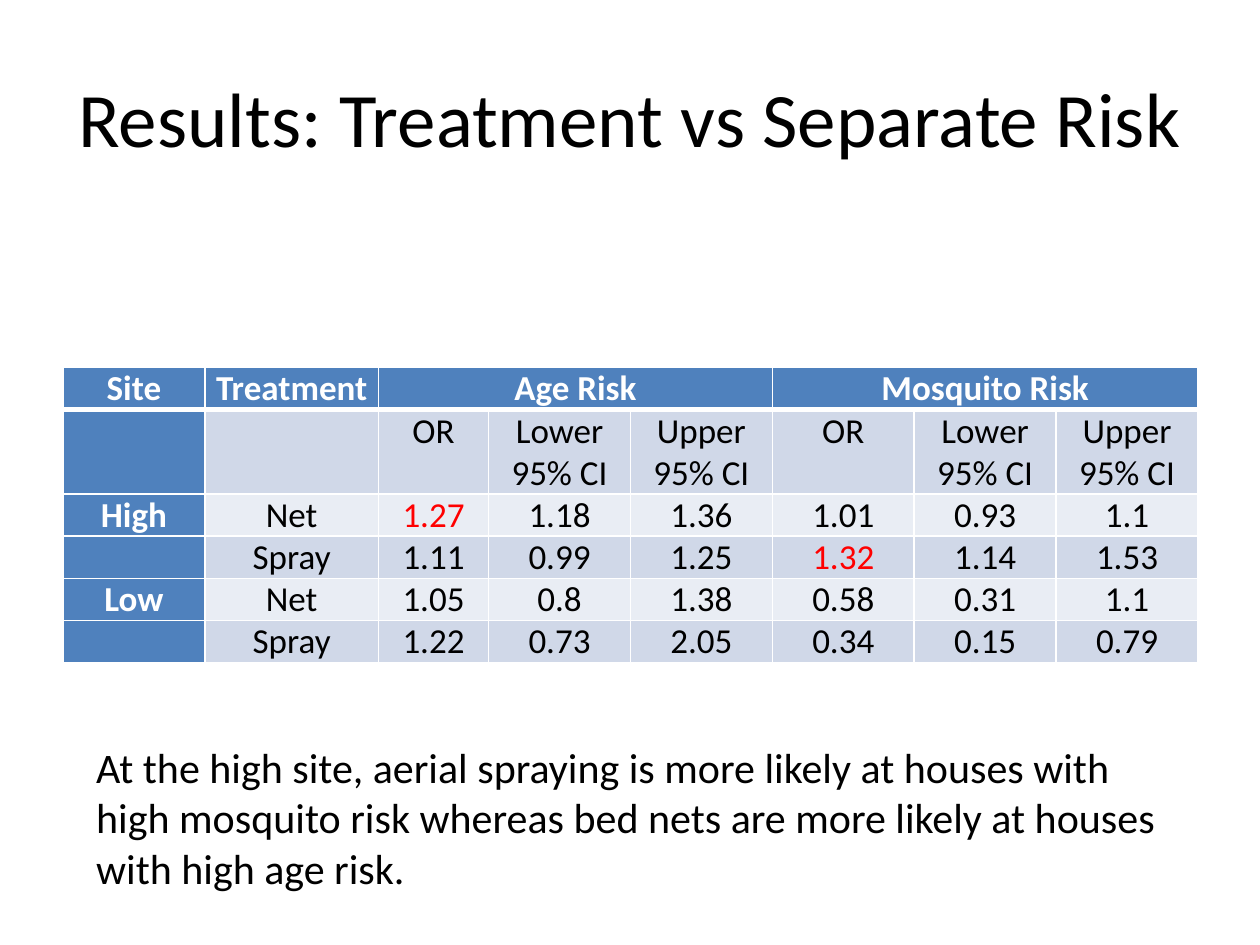
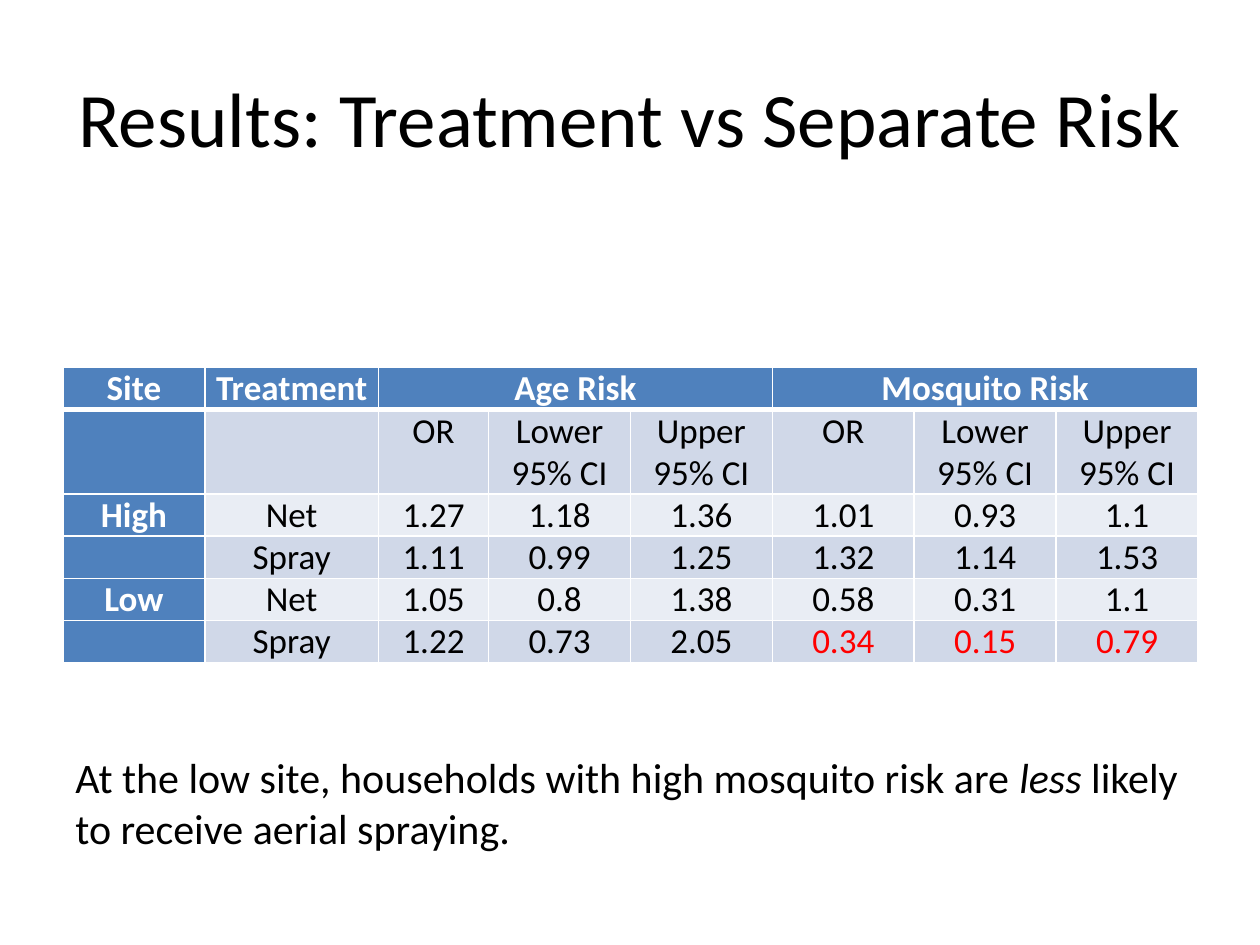
import pptx
import pptx.dml.color
import pptx.enum.text
import pptx.oxml
import pptx.oxml.ns
import pptx.util

Cm = pptx.util.Cm
Pt = pptx.util.Pt
CENTER = pptx.enum.text.PP_ALIGN.CENTER
TOP = pptx.enum.text.MSO_ANCHOR.TOP
MIDDLE = pptx.enum.text.MSO_ANCHOR.MIDDLE
BOTTOM = pptx.enum.text.MSO_ANCHOR.BOTTOM

# Shared style and table content
FONT = "Calibri"
BLACK, WHITE, RED = "000000", "FFFFFF", "FF0000"
HEADER_BLUE, BAND_DARK, BAND_LIGHT = "4F81BD", "D0D8E8", "E9EDF4"
TITLE = "Results: Treatment vs Separate Risk"
MEASURES = ["OR", "Lower 95% CI", "Upper 95% CI"]
ROWS = [
    ["Site", "Treatment", "Age Risk", "", "", "Mosquito Risk", "", ""],
    ["", "", *MEASURES, *MEASURES],
    ["High", "Net", "1.27", "1.18", "1.36", "1.01", "0.93", "1.1"],
    ["", "Spray", "1.11", "0.99", "1.25", "1.32", "1.14", "1.53"],
    ["Low", "Net", "1.05", "0.8", "1.38", "0.58", "0.31", "1.1"],
    ["", "Spray", "1.22", "0.73", "2.05", "0.34", "0.15", "0.79"],
]
COLUMN_WIDTHS = [2.86, 3.5, 2.22] + [2.86] * 5
LINE_HEIGHT = 0.85

# What differs: red cells as (row, column), note place in cm, note spans as (text, italic)
SLIDES = [
    {"red": {(2, 2), (3, 5)},
     "place": (1.69, 14.82, 22.44, 3.33),
     "note": [("At the high site, aerial spraying is more likely at houses with high "
               "mosquito risk whereas bed nets are more likely at houses with high "
               "age risk.", False)]},
    {"red": {(5, 5), (5, 6), (5, 7)},
     "place": (1.27, 15.03, 22.86, 2.31),
     "note": [("At the low site, households with high mosquito risk are ", False),
              ("less", True),
              (" likely to receive aerial spraying.", False)]},
]


def rgb(value):
    return pptx.dml.color.RGBColor.from_string(value)


def add_span(para, text, size, color=BLACK, bold=False, italic=False):
    span = para.add_run()
    span.text = text
    span.font.name = FONT
    span.font.size = Pt(size)
    span.font.bold = bold
    span.font.italic = italic
    span.font.color.rgb = rgb(color)


deck = pptx.Presentation()
deck.slide_width = Cm(25.4)
deck.slide_height = Cm(19.05)

for content in SLIDES:
    page = deck.slides.add_slide(deck.slide_layouts[6])

    # Title
    box = page.shapes.add_textbox(Cm(1.27), Cm(0.76), Cm(22.86), Cm(3.18))
    box.text_frame.word_wrap = True
    box.text_frame.vertical_anchor = MIDDLE
    para = box.text_frame.paragraphs[0]
    para.alignment = CENTER
    add_span(para, TITLE, 44)

    # Odds ratio table
    table = page.shapes.add_table(
        len(ROWS), len(COLUMN_WIDTHS), Cm(1.27), Cm(7.41),
        Cm(sum(COLUMN_WIDTHS)), Cm(LINE_HEIGHT * (len(ROWS) + 1))).table
    table.first_col = True
    for column, width in zip(table.columns, COLUMN_WIDTHS):
        column.width = Cm(width)
    for number, row in enumerate(table.rows):
        row.height = Cm(LINE_HEIGHT * (2 if number == 1 else 1))
    for first in (2, 5):
        table.cell(0, first).merge(table.cell(0, first + 2))

    for row, texts in enumerate(ROWS):
        for column, text in enumerate(texts):
            cell = table.cell(row, column)
            heading = row == 0 or column == 0
            cell.margin_left = cell.margin_right = Cm(0.19)
            cell.margin_top = cell.margin_bottom = 0
            cell.vertical_anchor = BOTTOM if row == 0 else TOP

            # White grid, thicker under the header row
            properties = cell._tc.get_or_add_tcPr()
            for side in "LRTB":
                thick = (row, side) in ((0, "B"), (1, "T"))
                properties.append(pptx.oxml.parse_xml(
                    f'<a:ln{side} {pptx.oxml.ns.nsdecls("a")} w="{Pt(3 if thick else 1)}">'
                    f'<a:solidFill><a:srgbClr val="{WHITE}"/></a:solidFill></a:ln{side}>'))
            band = BAND_DARK if row % 2 else BAND_LIGHT
            cell.fill.solid()
            cell.fill.fore_color.rgb = rgb(HEADER_BLUE if heading else band)

            if text:
                para = cell.text_frame.paragraphs[0]
                para.alignment = CENTER
                para.space_before = para.space_after = Pt(1.8)
                color = RED if (row, column) in content["red"] else BLACK
                add_span(para, text, 20, WHITE if heading else color, bold=heading)

    # Note under the table
    box = page.shapes.add_textbox(*[Cm(length) for length in content["place"]])
    box.text_frame.word_wrap = True
    box.text_frame.auto_size = pptx.enum.text.MSO_AUTO_SIZE.SHAPE_TO_FIT_TEXT
    para = box.text_frame.paragraphs[0]
    for text, italic in content["note"]:
        add_span(para, text, 24, italic=italic)

deck.save("out.pptx")
